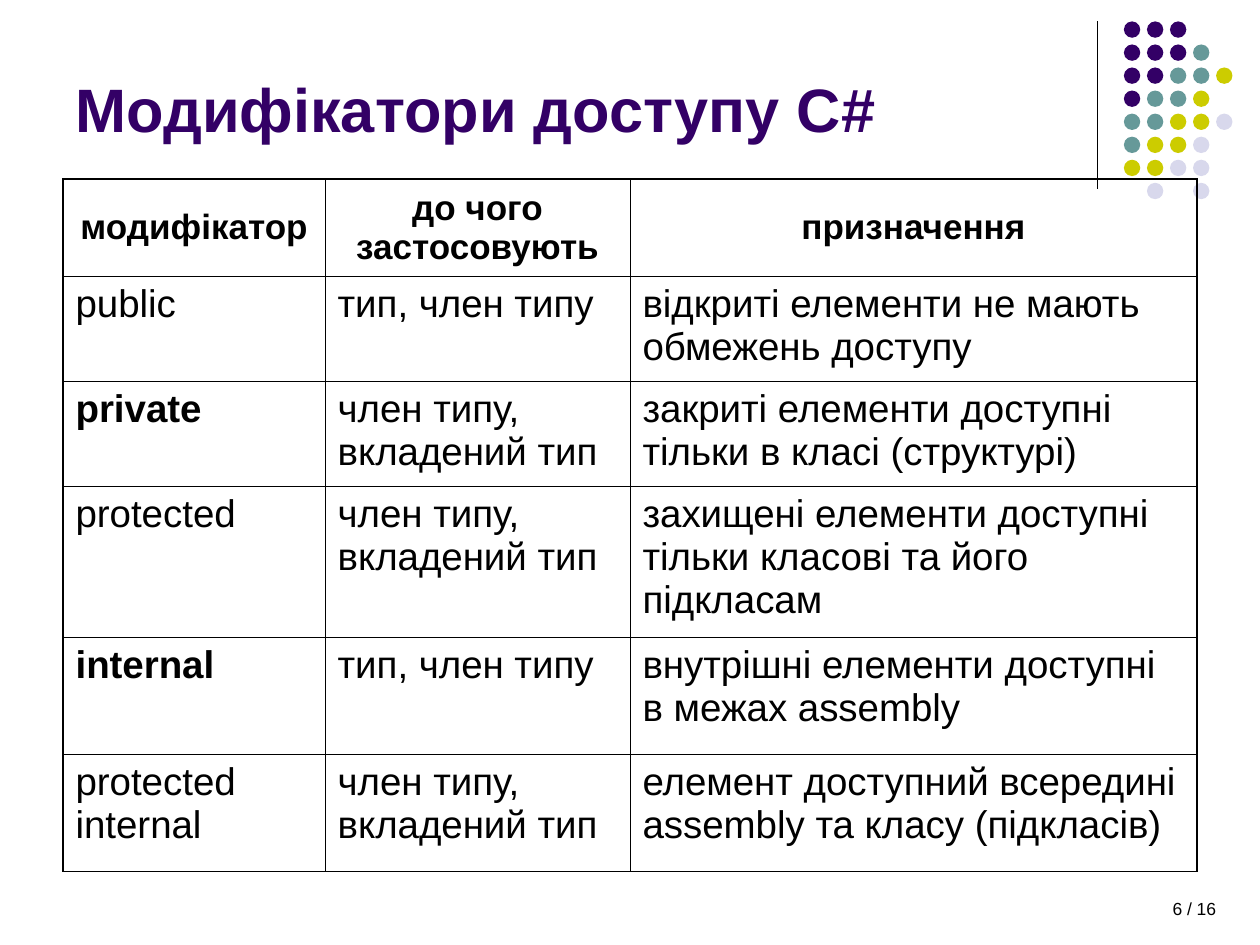
from dataclasses import dataclass

from lxml import etree
from pptx import Presentation
from pptx import util as u
from pptx.dml.color import RGBColor
from pptx.enum import shapes, text
from pptx.oxml import ns


@dataclass(frozen=True)
class Theme:
    font: str = "Arial"
    ink: str = "000000"
    purple: str = "330066"
    teal: str = "669999"
    olive: str = "CCCC00"
    pale: str = "D8D8EC"
    title_size: float = 35
    header_size: float = 20
    body_size: float = 22
    page_size: float = 10
    thin: float = 0.45
    thick: float = 1.08


class SlideBuilder:
    def __init__(self, slide, theme):
        self.slide = slide
        self.theme = theme

    def style(self, para, size, color, bold=False, align=text.PP_ALIGN.LEFT):
        para.alignment = align
        para.font.name = self.theme.font
        para.font.size = u.Pt(size)
        para.font.bold = bold
        para.font.color.rgb = RGBColor.from_string(color)

    def label(self, words, left, top, width, height, size, color,
              bold=False, align=text.PP_ALIGN.LEFT, anchor=text.MSO_ANCHOR.TOP):
        box = self.slide.shapes.add_textbox(*map(u.Inches, (left, top, width, height)))
        box.text_frame.word_wrap = True
        box.text_frame.vertical_anchor = anchor
        box.text_frame.text = words
        self.style(box.text_frame.paragraphs[0], size, color, bold, align)

    def line(self, x1, y1, x2, y2, width):
        rule = self.slide.shapes.add_connector(
            shapes.MSO_CONNECTOR.STRAIGHT, *map(u.Inches, (x1, y1, x2, y2)))
        rule.line.width = u.Pt(width)
        rule.line.color.rgb = RGBColor.from_string(self.theme.ink)
        etree.SubElement(rule._element.spPr, ns.qn("a:effectLst"))

    def dot(self, left, top, size, color):
        dot = self.slide.shapes.add_shape(
            shapes.MSO_SHAPE.OVAL, *map(u.Inches, (left, top, size, size)))
        dot.shadow.inherit = False
        dot.fill.solid()
        dot.fill.fore_color.rgb = RGBColor.from_string(color)
        dot.line.fill.background()

    def border(self, cell, side, width):
        edge = etree.Element(ns.qn(f"a:ln{side}"), w=str(u.Pt(width)))
        fill = etree.SubElement(edge, ns.qn("a:solidFill"))
        etree.SubElement(fill, ns.qn("a:srgbClr"), val=self.theme.ink)
        return edge

    def table(self, rows, left, top, widths, heights, bold_rows):
        theme = self.theme
        table = self.slide.shapes.add_table(
            len(rows), len(widths),
            *map(u.Inches, (left, top, sum(widths), sum(heights)))).table
        table.first_row = table.horz_banding = False
        for column, width in zip(table.columns, widths):
            column.width = u.Inches(width)
        last_row, last_col = len(rows) - 1, len(widths) - 1
        for r, (row, height) in enumerate(zip(rows, heights)):
            table.rows[r].height = u.Inches(height)
            for c, words in enumerate(row):
                cell = table.cell(r, c)
                cell.text = words
                para = cell.text_frame.paragraphs[0]
                header = r == 0
                size = theme.header_size if header else theme.body_size
                self.style(para, size, theme.ink,
                           header or (c == 0 and r in bold_rows),
                           text.PP_ALIGN.CENTER if header else text.PP_ALIGN.LEFT)
                para.space_before = u.Pt(size / 4)
                cell.vertical_anchor = (
                    text.MSO_ANCHOR.MIDDLE if header else text.MSO_ANCHOR.TOP)
                cell.fill.background()
                # Thick frame outside, thin rules inside
                outer = {"L": c == 0, "R": c == last_col,
                         "T": header, "B": r == last_row}
                props = cell._tc.get_or_add_tcPr()
                for place, (side, is_outer) in enumerate(outer.items()):
                    width = theme.thick if is_outer else theme.thin
                    props.insert(place, self.border(cell, side, width))


theme = Theme()
deck = Presentation()
deck.slide_width, deck.slide_height = u.Inches(10), u.Inches(7.5)
page = SlideBuilder(deck.slides.add_slide(deck.slide_layouts[6]), theme)

# Corner ornament: one letter per dot
page.line(8.71, 0.17, 8.71, 1.5, 0.74)
DOT_ROWS = ["PPP", "PPPT", "PPTTO", "PTTO", "TTOOL", "TOOL", "OOLL", " L L"]
DOT_COLORS = {"P": theme.purple, "T": theme.teal, "O": theme.olive, "L": theme.pale}
DOT_PITCH = 0.183
for r, dots in enumerate(DOT_ROWS):
    for c, letter in enumerate(dots):
        if letter in DOT_COLORS:
            page.dot(8.92 + c * DOT_PITCH, 0.17 + r * DOT_PITCH, 0.13, DOT_COLORS[letter])

# Page number and title
page.label("6 / 16", 7.17, 7.08, 2.58, 0.25, theme.page_size, theme.ink,
           align=text.PP_ALIGN.RIGHT)
page.label("Модифікатори доступу С#", 0.5, 0.33, 8.25, 0.87, theme.title_size,
           theme.purple, bold=True, anchor=text.MSO_ANCHOR.BOTTOM)

# Access modifiers
ANY = "тип, член типу"
MEMBER = "член типу, вкладений тип"
page.table(
    [("модифікатор", "до чого застосовують", "призначення"),
     ("public", ANY, "відкриті елементи не мають обмежень доступу"),
     ("private", MEMBER, "закриті елементи доступні тільки в класі (структурі)"),
     ("protected", MEMBER, "захищені елементи доступні тільки класові та його підкласам"),
     ("internal", ANY, "внутрішні елементи доступні в межах assembly"),
     ("protected internal", MEMBER,
      "елемент доступний всередині assembly та класу (підкласів)")],
    0.5, 1.42, [2.08, 2.42, 4.5], [0.77, 0.83, 0.83, 1.2, 0.93, 0.93],
    bold_rows={2, 4})

deck.save("out.pptx")
